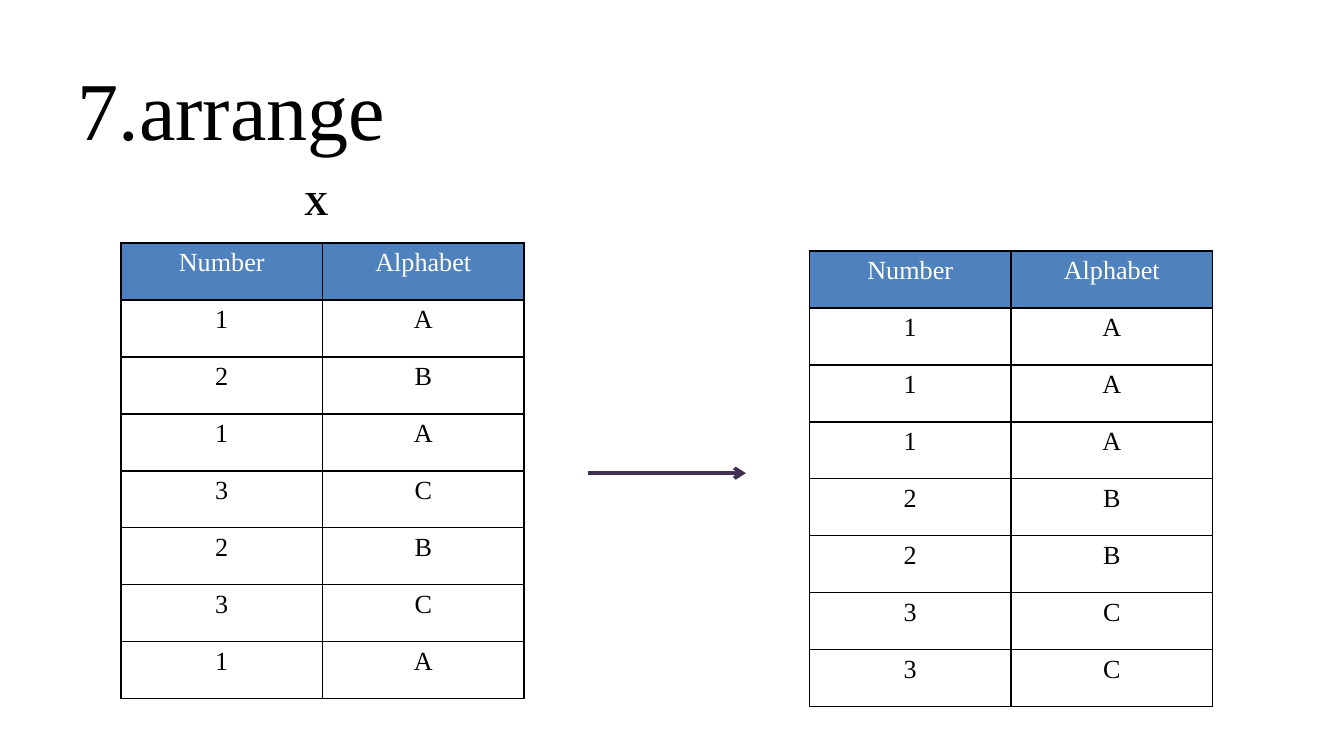
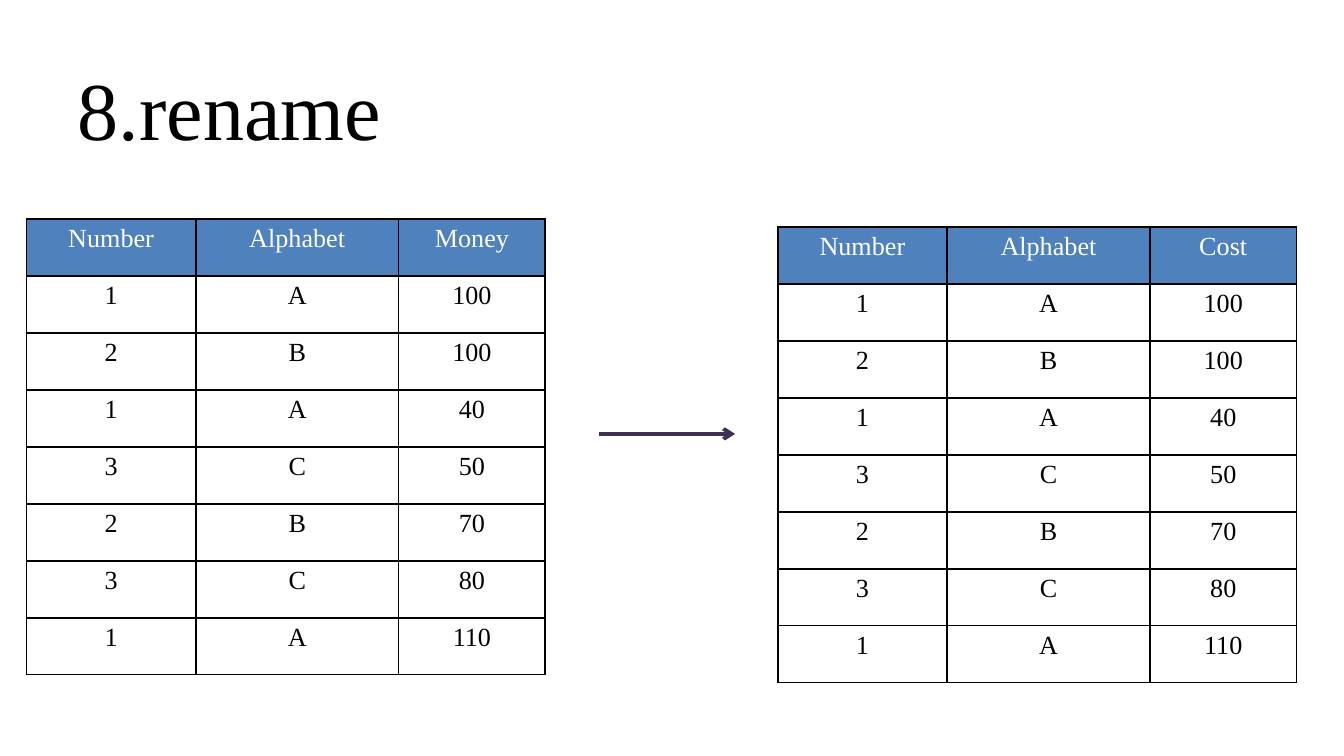
"""Build two slides that show what arrange and rename do to a table."""
from lxml.etree import SubElement
from pptx import Presentation
from pptx.dml.color import RGBColor
from pptx.enum.shapes import MSO_CONNECTOR
from pptx.enum.text import MSO_ANCHOR, PP_ALIGN
from pptx.oxml.ns import qn
from pptx.util import Inches, Pt

INK = {"text": "000000", "head": "4F81BD", "light": "FFFFFF", "arrow": "403152"}
FONT = "Times New Roman"

deck = Presentation()
deck.slide_width = Inches(10)
deck.slide_height = deck.slide_width * 9 // 16
COL, ROW = deck.slide_width / 100, deck.slide_height / 100


def place(left, top, width, height):
    return int(left * COL), int(top * ROW), int(width * COL), int(height * ROW)


def write(frame, text, size=14, color="text", bold=False, align=PP_ALIGN.LEFT):
    para = frame.paragraphs[0]
    para.alignment = align
    run = para.add_run()
    run.text = text
    run.font.name, run.font.size, run.font.bold = FONT, Pt(size), bold
    run.font.color.rgb = RGBColor.from_string(INK[color])


pairs = [(n, "ABC"[n - 1]) for n in (1, 2, 1, 3, 2, 3, 1)]
costs = [100, 100, 40, 50, 70, 80, 110]
trios = [(*pair, cost) for pair, cost in zip(pairs, costs)]
names = ("Number", "Alphabet")

pages = [
    {"title": "7.arrange", "label": "X", "cols": (15, 15), "arrow": (43.75, 55.5, 62.6),
     "tables": [(9, 32.15, names, pairs), (60.23, 33.2, names, sorted(pairs))]},
    {"title": "8.rename", "label": None, "cols": (12.6, 15.1, 10.9), "arrow": (44.6, 54.7, 57.4),
     "tables": [(1.97, 29, (*names, "Money"), trios), (57.87, 30.05, (*names, "Cost"), trios)]},
]

for page in pages:
    slide = deck.slides.add_slide(deck.slide_layouts[6])

    title = slide.shapes.add_textbox(*place(4.8, 6.9, 90, 12.6)).text_frame
    title.word_wrap = True
    write(title, page["title"], size=44)

    for left, top, head, body in page["tables"]:
        data = [head, *body]
        box = place(left, top, sum(page["cols"]), 60.27)
        table = slide.shapes.add_table(len(data), len(head), *box).table
        table.first_row = table.horz_banding = False
        for col, width in zip(table.columns, page["cols"]):
            col.width = int(width * COL)
        for r, line in enumerate(data):
            table.rows[r].height = box[3] // len(data)
            for c, value in enumerate(line):
                cell = table.cell(r, c)
                cell.margin_left = cell.margin_right = Inches(0.1)
                cell.margin_top = cell.margin_bottom = Inches(0.04)
                cell.vertical_anchor = MSO_ANCHOR.TOP
                for side in "LRTB":
                    edge = SubElement(cell._tc.get_or_add_tcPr(), qn(f"a:ln{side}"), w=str(Pt(1)))
                    SubElement(SubElement(edge, qn("a:solidFill")), qn("a:srgbClr"), val=INK["text"])
                if r == 0:
                    cell.fill.solid()
                    cell.fill.fore_color.rgb = RGBColor.from_string(INK["head"])
                else:
                    cell.fill.background()
                write(cell.text_frame, str(value), color="text" if r else "light",
                      align=PP_ALIGN.CENTER)

    start, end, level = page["arrow"]
    arrow = slide.shapes.add_connector(
        MSO_CONNECTOR.STRAIGHT, *place(start, level, end, level))
    arrow.line.color.rgb = RGBColor.from_string(INK["arrow"])
    arrow.line.width = Pt(2)
    SubElement(arrow.line._get_or_add_ln(), qn("a:tailEnd"), type="arrow")
    SubElement(arrow._element.spPr, qn("a:effectLst"))

    if page["label"]:
        label = slide.shapes.add_textbox(*place(21.65, 23.2, 7.9, 7.1)).text_frame
        label.word_wrap = True
        write(label, page["label"], size=18, bold=True)

deck.save("out.pptx")
